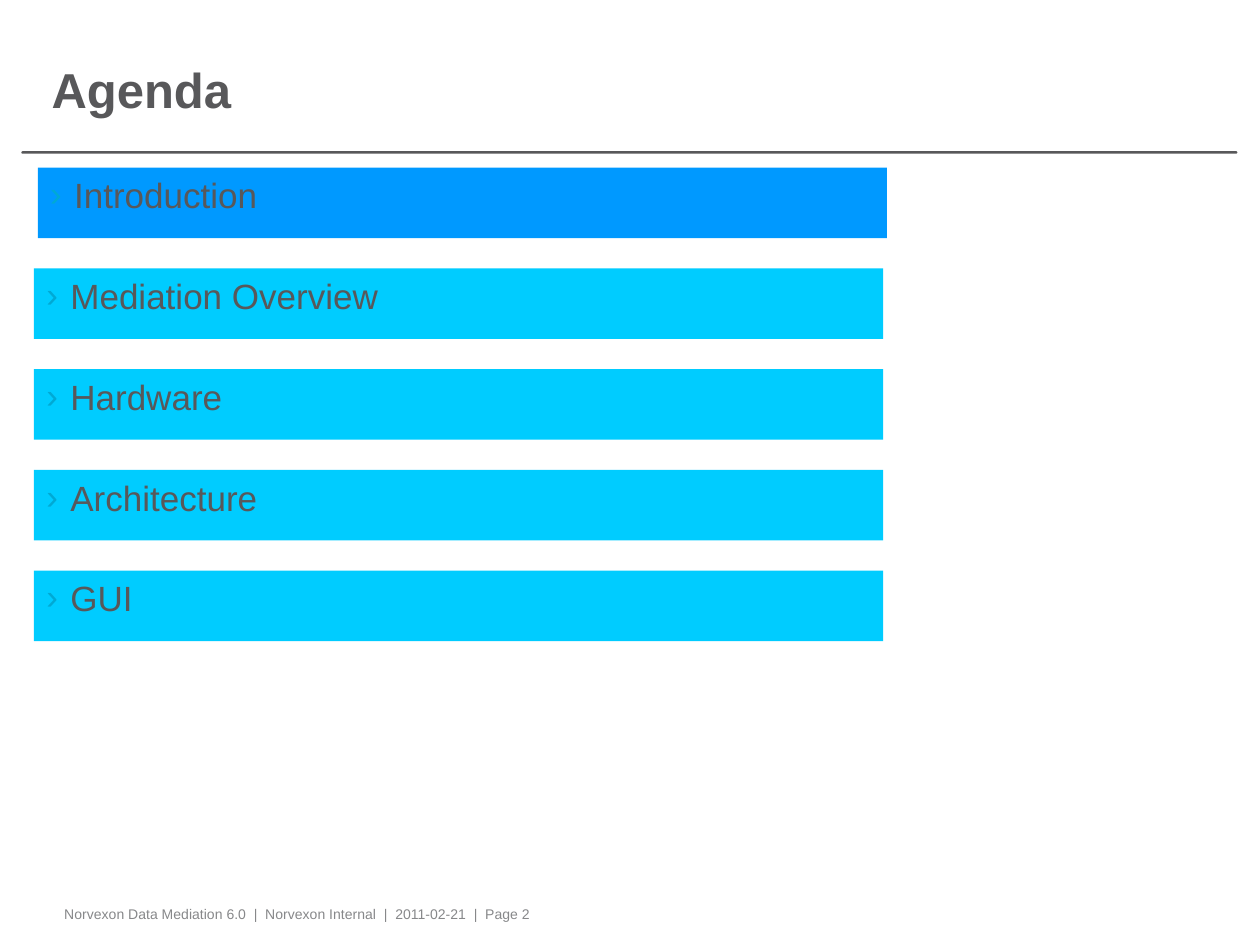
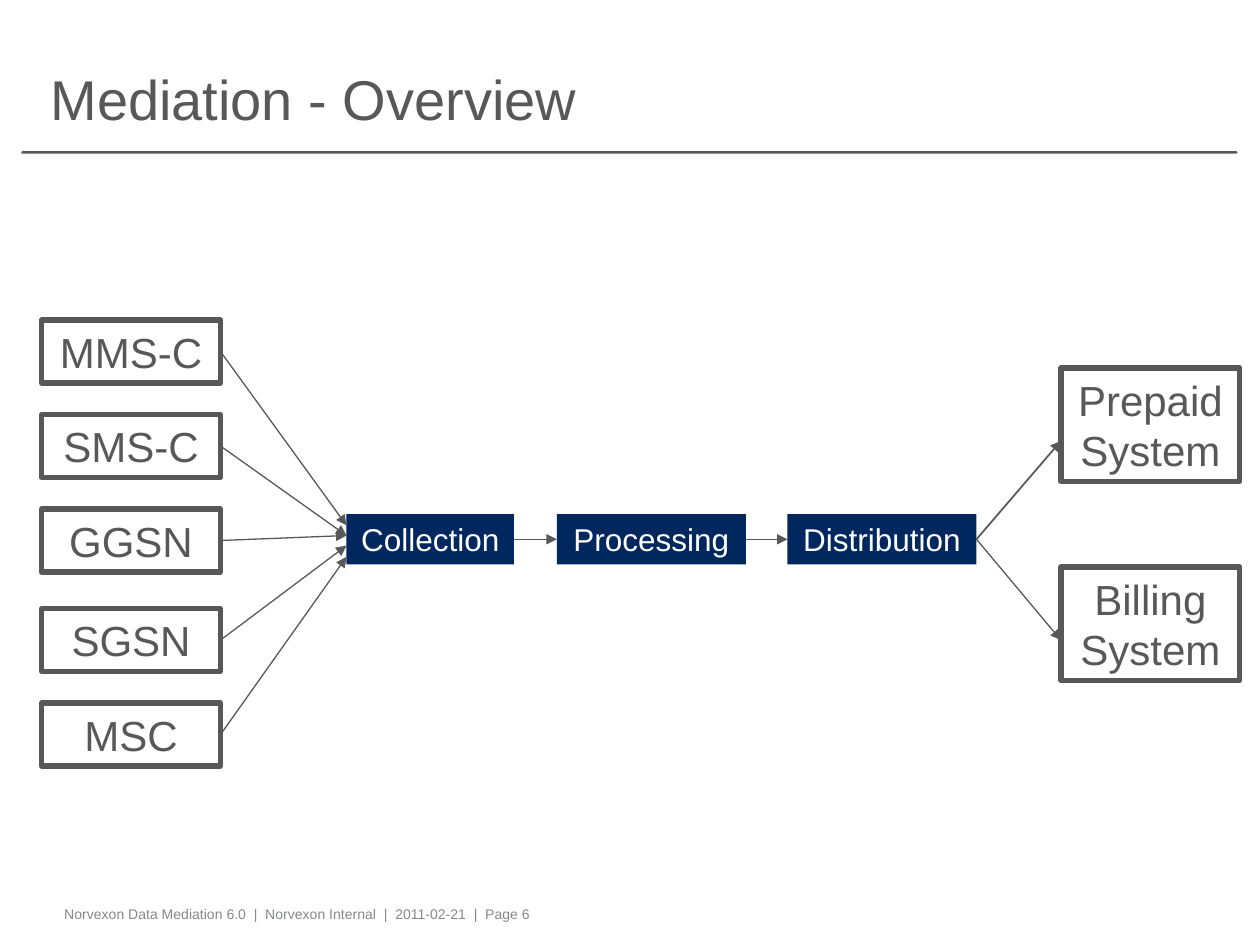
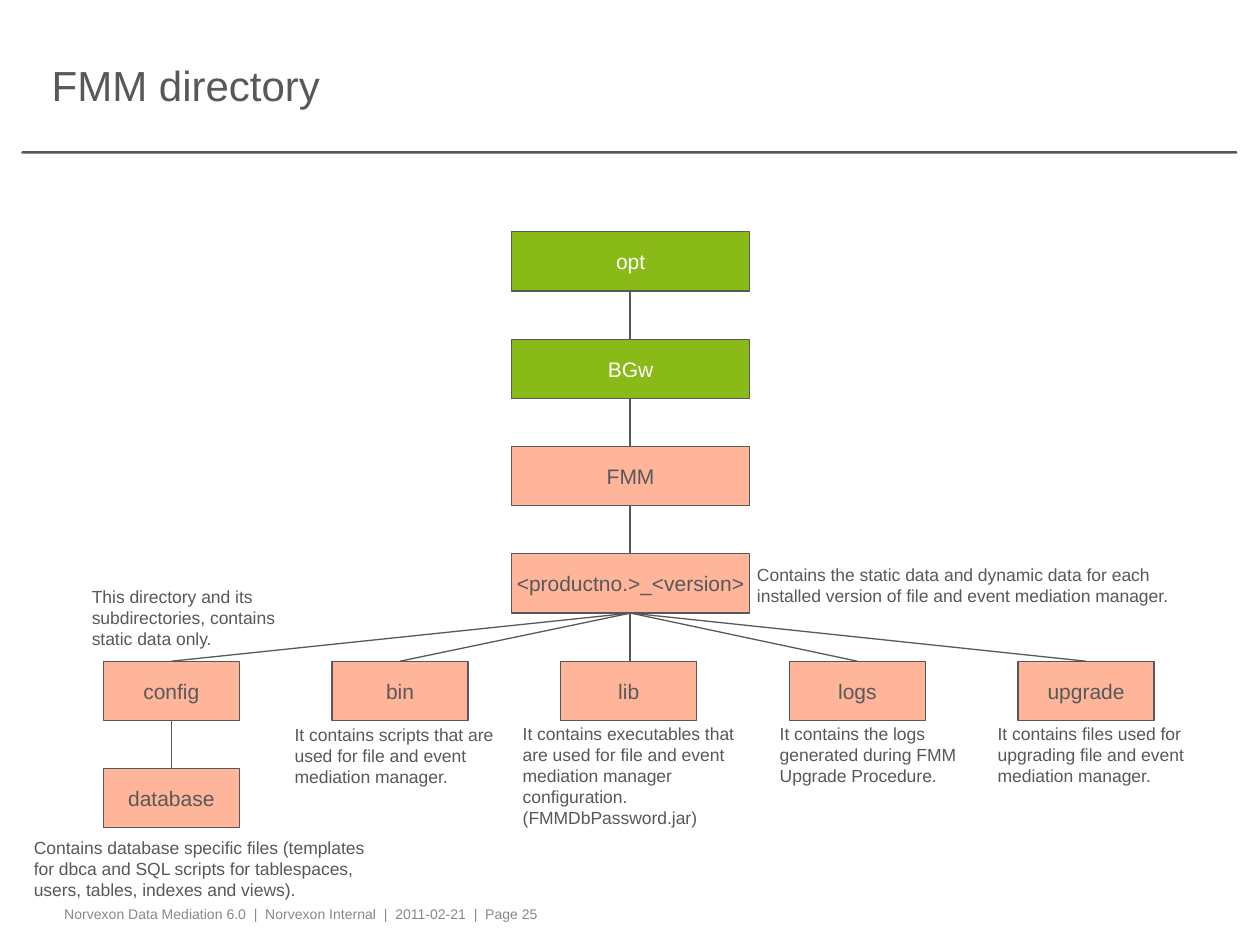
import dataclasses
import typing

import lxml.etree
import pptx
import pptx.dml.color
import pptx.enum.shapes
import pptx.enum.text
import pptx.oxml.ns
import pptx.shapes.autoshape
import pptx.shapes.connector
import pptx.slide
import pptx.util

Inches = pptx.util.Inches
Pt = pptx.util.Pt
RGBColor = pptx.dml.color.RGBColor
Anchor = pptx.enum.text.MSO_ANCHOR
Align = pptx.enum.text.PP_ALIGN
Preset = pptx.enum.shapes.MSO_SHAPE
Shape = pptx.shapes.autoshape.Shape
Connector = pptx.shapes.connector.Connector
Slide = pptx.slide.Slide

FONT = "Arial"
GREY = RGBColor(0x58, 0x58, 0x5A)
FOOTER_GREY = RGBColor(0x87, 0x88, 0x8A)
WHITE = RGBColor(0xFF, 0xFF, 0xFF)
CYAN = RGBColor(0x00, 0xCC, 0xFF)
BLUE = RGBColor(0x00, 0x99, 0xFF)
BULLET_BLUE = RGBColor(0x00, 0xA9, 0xD4)
NAVY = RGBColor(0x00, 0x28, 0x5E)
GREEN = RGBColor(0x89, 0xBA, 0x17)
SALMON = RGBColor(0xFF, 0xB5, 0x99)

TOP, LEFT, BOTTOM, RIGHT = range(4)  # connection sites of a rectangle
TITLE_ONLY = 5
FOOTER = "Norvexon Data Mediation 6.0  |  Norvexon Internal  |  2011-02-21  |  Page {}"


class Area(typing.NamedTuple):
    left: float
    top: float
    width: float
    height: float

    def lengths(self) -> list[pptx.util.Length]:
        return [Inches(value) for value in self]


@dataclasses.dataclass(frozen=True)
class TextStyle:
    size: float
    color: RGBColor = GREY
    bold: bool = False
    align: Align = Align.LEFT
    anchor: Anchor = Anchor.TOP
    wrap: bool = True
    side_margin: float = 0.1
    end_margin: float = 0.05


@dataclasses.dataclass(frozen=True)
class BoxStyle:
    text: TextStyle
    fill: RGBColor | None = None
    line_width: float = 0


@dataclasses.dataclass(frozen=True)
class Title:
    text: str
    area: Area
    style: TextStyle


class Note(typing.NamedTuple):
    text: str
    area: Area


FOOTER_TEXT = TextStyle(8, FOOTER_GREY, side_margin=0.08)
AGENDA_TEXT = TextStyle(20)
NOTE_TEXT = TextStyle(10)
NODE_TEXT = TextStyle(12, align=Align.CENTER, anchor=Anchor.MIDDLE, wrap=False)

SYSTEM_BOX = BoxStyle(TextStyle(24, align=Align.CENTER), line_width=3)
STAGE_BOX = BoxStyle(TextStyle(18, WHITE, align=Align.CENTER), NAVY)
FOLDER_BOX = BoxStyle(NODE_TEXT, SALMON, 0.75)
ROOT_BOX = BoxStyle(dataclasses.replace(NODE_TEXT, color=WHITE), GREEN, 0.75)


def apply_values(target: object, values: dict[str, object]) -> None:
    for name, value in values.items():
        setattr(target, name, value)


def write_text(box: Shape, text: str, style: TextStyle) -> None:
    frame = box.text_frame
    apply_values(frame, {
        "auto_size": pptx.enum.text.MSO_AUTO_SIZE.NONE,
        "word_wrap": style.wrap,
        "vertical_anchor": style.anchor,
        "margin_left": Inches(style.side_margin),
        "margin_right": Inches(style.side_margin),
        "margin_top": Inches(style.end_margin),
        "margin_bottom": Inches(style.end_margin),
    })
    para = frame.paragraphs[0]
    para.alignment = style.align
    span = para.add_run()
    span.text = text
    apply_values(span.font, {"name": FONT, "size": Pt(style.size), "bold": style.bold})
    span.font.color.rgb = style.color


def add_box(page: Slide, area: Area, style: BoxStyle, text: str = "",
            preset: Preset = Preset.RECTANGLE) -> Shape:
    box = page.shapes.add_shape(preset, *area.lengths())
    box.shadow.inherit = False
    if style.fill is None:
        box.fill.background()
    else:
        box.fill.solid()
        box.fill.fore_color.rgb = style.fill
    if style.line_width:
        box.line.color.rgb = GREY
        box.line.width = Pt(style.line_width)
    else:
        box.line.fill.background()
    if text:
        write_text(box, text, style.text)
    return box


def add_text(page: Slide, area: Area, text: str, style: TextStyle) -> None:
    write_text(page.shapes.add_textbox(*area.lengths()), text, style)


def add_bullet(box: Shape) -> None:
    properties = box.text_frame.paragraphs[0]._p.get_or_add_pPr()
    indent = Inches(0.19)
    properties.set("marL", str(indent))
    properties.set("indent", str(-indent))
    qn = pptx.oxml.ns.qn
    color = lxml.etree.SubElement(properties, qn("a:buClr"))
    lxml.etree.SubElement(color, qn("a:srgbClr"), val=str(BULLET_BLUE))
    lxml.etree.SubElement(properties, qn("a:buFont"), typeface=FONT)
    lxml.etree.SubElement(properties, qn("a:buChar"), char="›")


def add_line(page: Slide, start: tuple[float, float] | tuple[Shape, int],
             end: tuple[float, float] | tuple[Shape, int],
             width: float = 0.75, arrow: bool = False) -> Connector:
    """Draw a line; each end is a point or a box with its connection site."""
    joined = [isinstance(place[0], Shape) for place in (start, end)]
    points = [(0, 0) if is_joined else place
              for place, is_joined in zip((start, end), joined)]
    line = page.shapes.add_connector(
        pptx.enum.shapes.MSO_CONNECTOR.STRAIGHT,
        *(Inches(value) for point in points for value in point))
    if joined[0]:
        line.begin_connect(*start)
    if joined[1]:
        line.end_connect(*end)
    line.line.color.rgb = GREY
    line.line.width = Pt(width)
    qn = pptx.oxml.ns.qn
    if arrow:
        lxml.etree.SubElement(line.line._get_or_add_ln(), qn("a:tailEnd"), type="triangle")
    lxml.etree.SubElement(line._element.spPr, qn("a:effectLst"))
    return line


def add_page(deck: pptx.presentation.Presentation, title: Title, number: int) -> Slide:
    """Add a page with the title, the rule under it and the footer."""
    page = deck.slides.add_slide(deck.slide_layouts[TITLE_ONLY])
    rule = add_box(page, Area(0.17, 1.2, 9.65, 0.02), BoxStyle(FOOTER_TEXT, GREY),
                   preset=Preset.ROUNDED_RECTANGLE)
    rule.adjustments[0] = 0.5
    add_text(page, Area(0.43, 7.14, 8.09, 0.24), FOOTER.format(number), FOOTER_TEXT)
    heading = page.shapes.title
    apply_values(heading, dict(zip(("left", "top", "width", "height"), title.area.lengths())))
    write_text(heading, title.text, title.style)
    return page


def title_style(size: float, bold: bool = False, anchor: Anchor = Anchor.BOTTOM,
                side_margin: float = 0.08) -> TextStyle:
    return TextStyle(size, bold=bold, anchor=anchor, side_margin=side_margin, end_margin=0)


def add_agenda(deck: pptx.presentation.Presentation) -> None:
    title = Title("Agenda", Area(0.33, 0.47, 8.83, 0.47), title_style(28, bold=True))
    page = add_page(deck, title, 2)
    topics = ("Introduction", "Mediation Overview", "Hardware", "Architecture", "GUI")
    for row, topic in enumerate(topics):
        left, fill = (0.3, BLUE) if row == 0 else (0.27, CYAN)
        area = Area(left, 1.33 + 0.8 * row, 6.74, 0.56)
        add_bullet(add_box(page, area, BoxStyle(AGENDA_TEXT, fill), topic))


def add_overview(deck: pptx.presentation.Presentation) -> None:
    title = Title("Mediation - Overview", Area(0.3, 0.51, 8.83, 0.53),
                  title_style(32, anchor=Anchor.TOP, side_margin=0.1))
    page = add_page(deck, title, 6)

    stages = [add_box(page, Area(left, 4.08, width, 0.4), STAGE_BOX, name)
              for name, left, width in (("Collection", 2.75, 1.33),
                                        ("Processing", 4.42, 1.5),
                                        ("Distribution", 6.25, 1.5))]
    for before, after in zip(stages, stages[1:]):
        add_line(page, (before, RIGHT), (after, LEFT), arrow=True)

    for name, top, arrow_end in (("MMS-C", 2.54, 4.17), ("SMS-C", 3.29, 4.25),
                                 ("GGSN", 4.04, 4.25), ("SGSN", 4.83, 4.33),
                                 ("MSC", 5.58, 4.42)):
        source = add_box(page, Area(0.33, top, 1.42, 0.5), SYSTEM_BOX, name)
        add_line(page, (source, RIGHT), (2.75, arrow_end), arrow=True)

    for name, top, arrow_end, width in (("Prepaid System", 2.92, 3.5, 1),
                                        ("Billing System", 4.5, 5.08, 0.75)):
        add_box(page, Area(8.42, top, 1.42, 0.9), SYSTEM_BOX, name)
        add_line(page, (stages[-1], RIGHT), (8.42, arrow_end), width, arrow=True)


DIRECTORY_NOTES = (
    Note("Contains the static data and dynamic data for each installed version of "
         "file and event mediation manager.", Area(5.91, 4.43, 3.53, 0.44)),
    Note("Contains database specific files (templates for dbca and SQL scripts for "
         "tablespaces, users, tables, indexes and views).", Area(0.17, 6.59, 2.86, 0.6)),
    Note("This directory and its subdirectories, contains static data only.",
         Area(0.63, 4.6, 1.71, 0.6)),
    Note("It contains scripts that are used for file and event mediation manager.",
         Area(2.24, 5.7, 2, 0.6)),
    Note("It contains executables that are used for file and event mediation manager "
         "configuration. (FMMDbPassword.jar)", Area(4.05, 5.69, 2.02, 0.94)),
    Note("It contains the logs generated during FMM Upgrade Procedure.",
         Area(6.09, 5.69, 2, 0.6)),
    Note("It contains files used for upgrading file and event mediation manager.",
         Area(7.82, 5.69, 2, 0.6)),
)


def add_directory(deck: pptx.presentation.Presentation) -> None:
    title = Title("FMM directory", Area(0.33, 0.47, 8.83, 0.4), title_style(24))
    page = add_page(deck, title, 25)
    row_tops = [1.84 + (6.1 - 1.84) / 5 * row for row in range(6)]
    folder_lefts = [0.82 + (8.08 - 0.82) / 4 * column for column in range(5)]

    add_line(page, (5, 2), (5, 5.46))
    trunk = [add_box(page, Area(4.06, top, 1.89, 0.47), style, name)
             for top, style, name in zip(
                 row_tops, (ROOT_BOX, ROOT_BOX, FOLDER_BOX, FOLDER_BOX),
                 ("opt", "BGw", "FMM", "<productno.>_<version>"))]
    folders = {name: add_box(page, Area(left, row_tops[4], 1.08, 0.47), FOLDER_BOX, name)
               for name, left in zip(("config", "bin", "lib", "logs", "upgrade"), folder_lefts)}
    database = add_box(page, Area(folder_lefts[0], row_tops[5], 1.08, 0.47),
                       FOLDER_BOX, "database")

    add_line(page, (folders["config"], BOTTOM), (database, TOP))
    for name in ("config", "bin", "logs", "upgrade"):
        add_line(page, (trunk[-1], BOTTOM), (folders[name], TOP))
    for note in DIRECTORY_NOTES:
        add_text(page, note.area, note.text, NOTE_TEXT)


def main() -> None:
    deck = pptx.Presentation()
    deck.slide_width = Inches(10)
    deck.slide_height = Inches(7.5)
    add_agenda(deck)
    add_overview(deck)
    add_directory(deck)
    deck.save("out.pptx")


if __name__ == "__main__":
    main()
